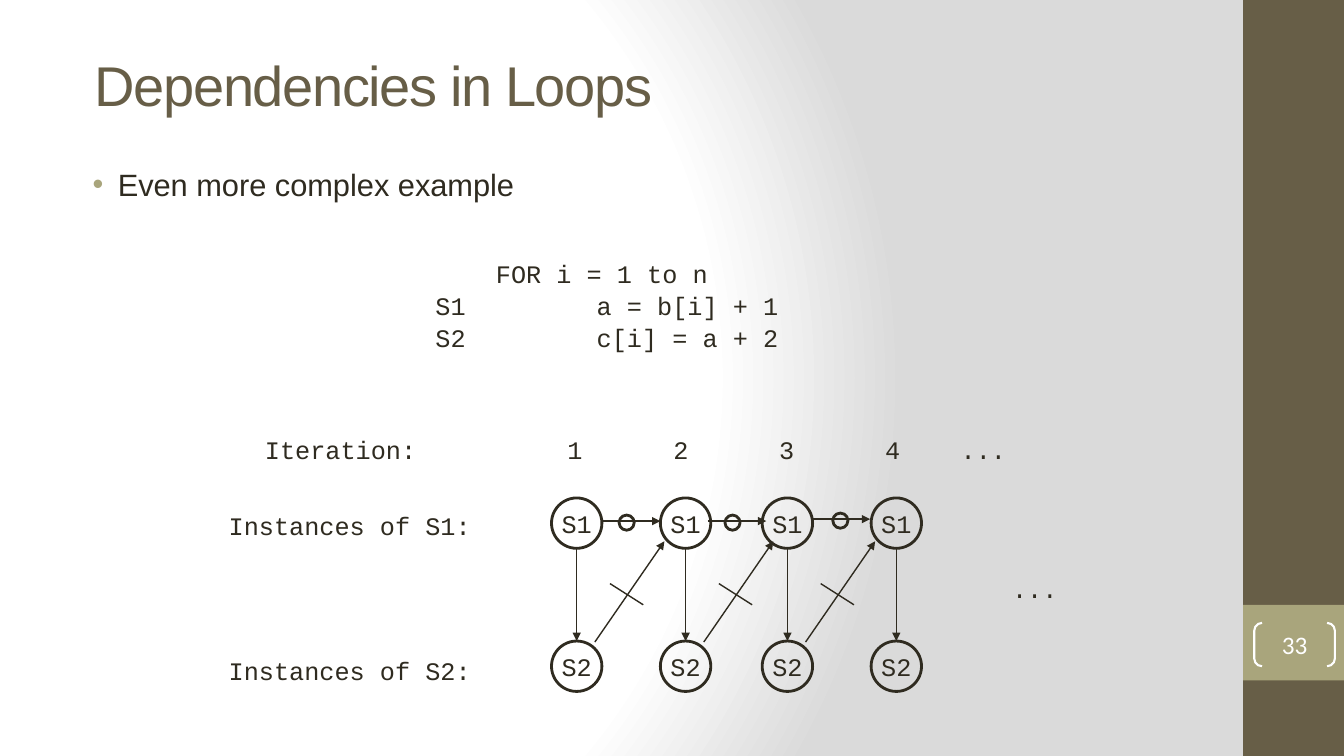
from pptx import Presentation
from pptx.dml.color import RGBColor
from pptx.enum.shapes import MSO_CONNECTOR, MSO_SHAPE
from pptx.enum.text import MSO_ANCHOR, PP_ALIGN
from pptx.oxml import parse_xml
from pptx.oxml.ns import nsdecls
from pptx.util import Inches, Pt

STRAIGHT = MSO_CONNECTOR.STRAIGHT
RECTANGLE = MSO_SHAPE.RECTANGLE
OVAL = MSO_SHAPE.OVAL
BRACKETS = MSO_SHAPE.DOUBLE_BRACKET
MIDDLE = MSO_ANCHOR.MIDDLE
TOP = MSO_ANCHOR.TOP
LEFT = PP_ALIGN.LEFT
CENTER = PP_ALIGN.CENTER

INK, OLIVE, SAND, WHITE, GRAY = "2F2B20", "675E47", "A9A57C", "FFFFFF", "DADADA"
CODE = {"name": "Courier New", "size": Pt(18)}
BODY = {"name": "Arial", "size": Pt(22)}
TITLE = {"name": "Arial", "size": Pt(40)}
NUMBER = {"name": "Calibri", "size": Pt(18)}

COLUMNS = [5.72, 6.8, 7.81, 8.89]
FLOWS = [(5.97, 5.17, 6.14), (7.02, 5.17, 7.19), (8.05, 5.15, 8.26)]
ROWS = {"S1": 5.19, "S2": 6.61}
NODE = 0.5
RING = 0.15


def color(value):
    return RGBColor.from_string(value)


def lengths(box):
    return [Inches(value) for value in box]


def add_span(para, text, font, ink=INK):
    span = para.add_run()
    span.text = text
    for name, value in font.items():
        setattr(span.font, name, value)
    span.font.color.rgb = color(ink)
    return span


def set_frame(frame, anchor, margins):
    frame.word_wrap = True
    frame.vertical_anchor = anchor
    sides = ("left", "top", "right", "bottom")
    for side, margin in zip(sides, margins):
        setattr(frame, f"margin_{side}", Inches(margin))


def add_outline(page, kind, box, fill=None, line=None, width=2):
    shape = page.shapes.add_shape(kind, *lengths(box))
    shape.shadow.inherit = False
    if fill:
        shape.fill.solid()
        shape.fill.fore_color.rgb = color(fill)
    else:
        shape.fill.background()
    if line:
        shape.line.color.rgb = color(line)
        shape.line.width = Pt(width)
    else:
        shape.line.fill.background()
    return shape


def add_label(shape, text, font, ink=INK):
    set_frame(shape.text_frame, MIDDLE, (0, 0, 0, 0))
    para = shape.text_frame.paragraphs[0]
    para.alignment = CENTER
    add_span(para, text, font, ink)


def add_line(page, start, end, arrow=False):
    line = page.shapes.add_connector(STRAIGHT, *lengths(start + end))
    line.line.color.rgb = color(INK)
    line.line.width = Pt(1)
    if arrow:
        line.line._get_or_add_ln().append(
            parse_xml(f'<a:tailEnd {nsdecls("a")} type="triangle"/>'))
    line._element.spPr.append(parse_xml(f'<a:effectLst {nsdecls("a")}/>'))


def add_code(page, box, lines, tabs, gaps=None):
    frame = page.shapes.add_textbox(*lengths(box)).text_frame
    set_frame(frame, TOP, (0.1, 0.05, 0.1, 0.05))
    stops = "".join(f'<a:tab pos="{Inches(tab)}" algn="l"/>' for tab in tabs)
    for index, text in enumerate(lines):
        para = frame.add_paragraph() if index else frame.paragraphs[0]
        para.alignment = LEFT
        para.line_spacing = 1.05
        para.space_before = Pt(gaps[index] if gaps else 0)
        para._p.get_or_add_pPr().append(
            parse_xml(f'<a:tabLst {nsdecls("a")}>{stops}</a:tabLst>'))
        add_span(para, text, CODE)


def set_background(page):
    stops = "".join(
        f'<a:gs pos="{place * 1000}"><a:srgbClr val="{value}"/></a:gs>'
        for place, value in ((0, WHITE), (75, WHITE), (100, GRAY)))
    page.element.cSld.insert(0, parse_xml(
        f'<p:bg {nsdecls("p", "a")}><p:bgPr><a:gradFill rotWithShape="1">'
        f'<a:gsLst>{stops}</a:gsLst><a:path path="circle">'
        '<a:fillToRect l="20000" t="50000" r="100000" b="50000"/></a:path>'
        '</a:gradFill><a:effectLst/></p:bgPr></p:bg>'))


def add_sidebar(page, box):
    left, top, width, height = box
    add_outline(page, RECTANGLE, box, fill=OLIVE)
    add_outline(page, RECTANGLE, (left, top + 6, width, 0.75), fill=SAND)
    number_box = (left + 0.11, top + 6.18, 0.8, 0.43)
    number = add_outline(page, BRACKETS, number_box, line=WHITE, width=1.5)
    number.adjustments[0] = 0.18
    add_label(number, "33", NUMBER, WHITE)


def add_title(page, box):
    title = page.shapes.title
    title.left, title.top, title.width, title.height = lengths(box)
    set_frame(title.text_frame, MIDDLE, (0.1, 0.05, 0.1, 0.05))
    para = title.text_frame.paragraphs[0]
    para.alignment = LEFT
    span = add_span(para, "Dependencies in Loops", TITLE, OLIVE)
    span.font._element.set("spc", "-100")


def add_bullet(page, box):
    frame = page.shapes.add_textbox(*lengths(box)).text_frame
    set_frame(frame, TOP, (0.1, 0.05, 0.1, 0.05))
    para = frame.paragraphs[0]
    para.space_before = Pt(4.4)
    layout = para._p.get_or_add_pPr()
    layout.set("marL", str(Inches(0.38)))
    layout.set("indent", str(Inches(-0.25)))
    for mark in (f'<a:buClr {nsdecls("a")}><a:srgbClr val="{SAND}"/></a:buClr>',
                 f'<a:buFont {nsdecls("a")} typeface="Arial"/>',
                 f'<a:buChar {nsdecls("a")} char="•"/>'):
        layout.append(parse_xml(mark))
    add_span(para, "Even more complex example", BODY)


def add_node(page, text, x, y):
    box = (x - NODE / 2, y - NODE / 2, NODE, NODE)
    add_label(add_outline(page, OVAL, box, line=INK), text, CODE)


def add_graph(page):
    upper, lower = ROWS.values()
    for x in COLUMNS:
        for text, y in ROWS.items():
            add_node(page, text, x, y)
        add_line(page, (x, upper + NODE / 2), (x, lower - NODE / 2), arrow=True)
    for x, y, ring in FLOWS:
        add_line(page, (x, y), (x + 0.58, y), arrow=True)
        ring_box = (ring, y - 0.06, RING, RING)
        add_outline(page, OVAL, ring_box, line=INK)
    for x in COLUMNS[:-1]:
        start = x + 0.18
        add_line(page, (start, 6.37), (start + 0.69, 5.37), arrow=True)
        add_line(page, (start + 0.15, 5.79), (start + 0.48, 6))


def main():
    deck = Presentation()
    deck.slide_width, deck.slide_height = Inches(13.33), Inches(7.5)
    page = deck.slides.add_slide(deck.slide_layouts[5])
    set_background(page)
    add_sidebar(page, (12.33, 0, 1, 7.5))
    add_title(page, (0.84, 0.61, 10.91, 0.45))
    add_bullet(page, (0.69, 1.59, 11.46, 5.91))
    add_code(page, (3.77, 2.5, 5.79, 1.01),
             ["\t\tFOR i = 1 to n", "\tS1\t\ta = b[i] + 1", "\tS2\t\tc[i] = a + 2"],
             [0.45, 1.05, 2.05])
    add_code(page, (1.72, 4.24, 8.73, 0.4),
             ["\tIteration:\t1\t2\t3\t4\t..."],
             [0.81] + [3.81 + 1.05 * step for step in range(4)] + [7.71])
    add_code(page, (1.72, 5, 9.03, 1.82),
             ["\tInstances of S1:", "\t\t...", "\tInstances of S2:"],
             [0.45, 8.22], [0, 22, 36])
    add_graph(page)
    deck.save("out.pptx")


if __name__ == "__main__":
    main()
